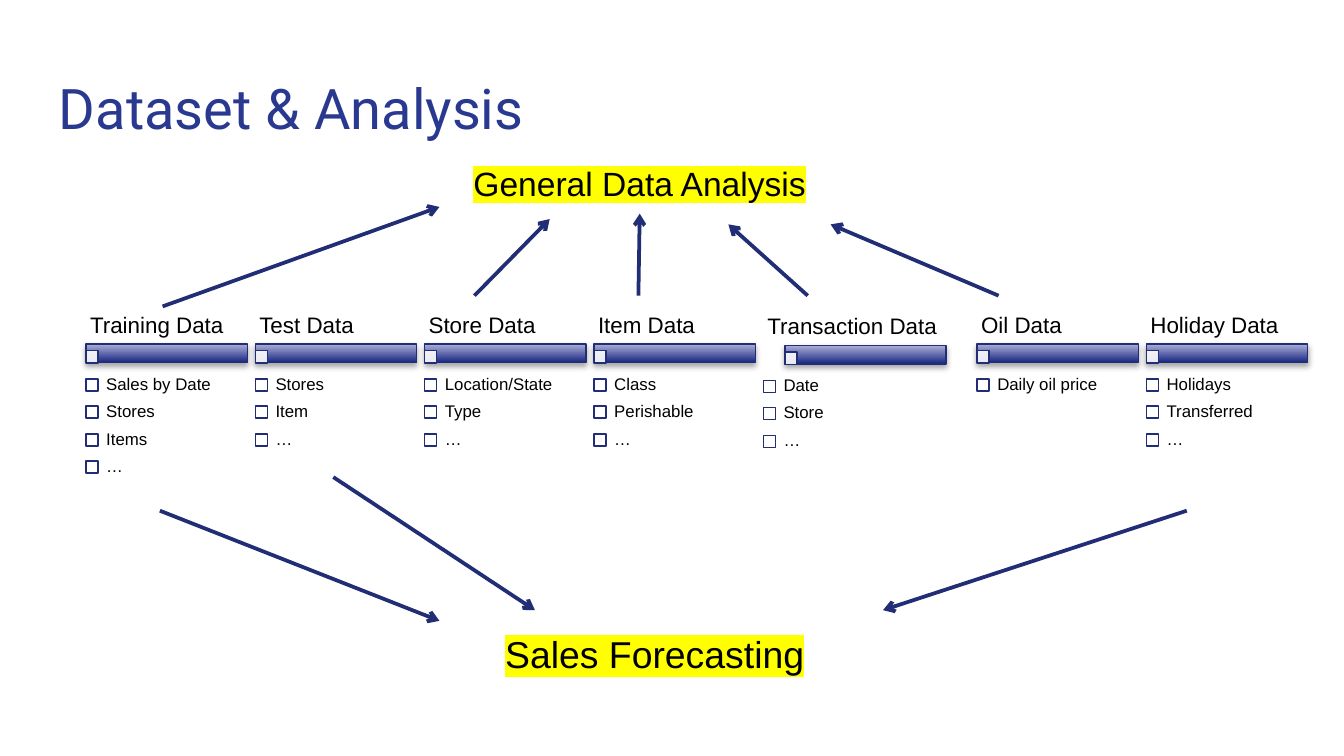
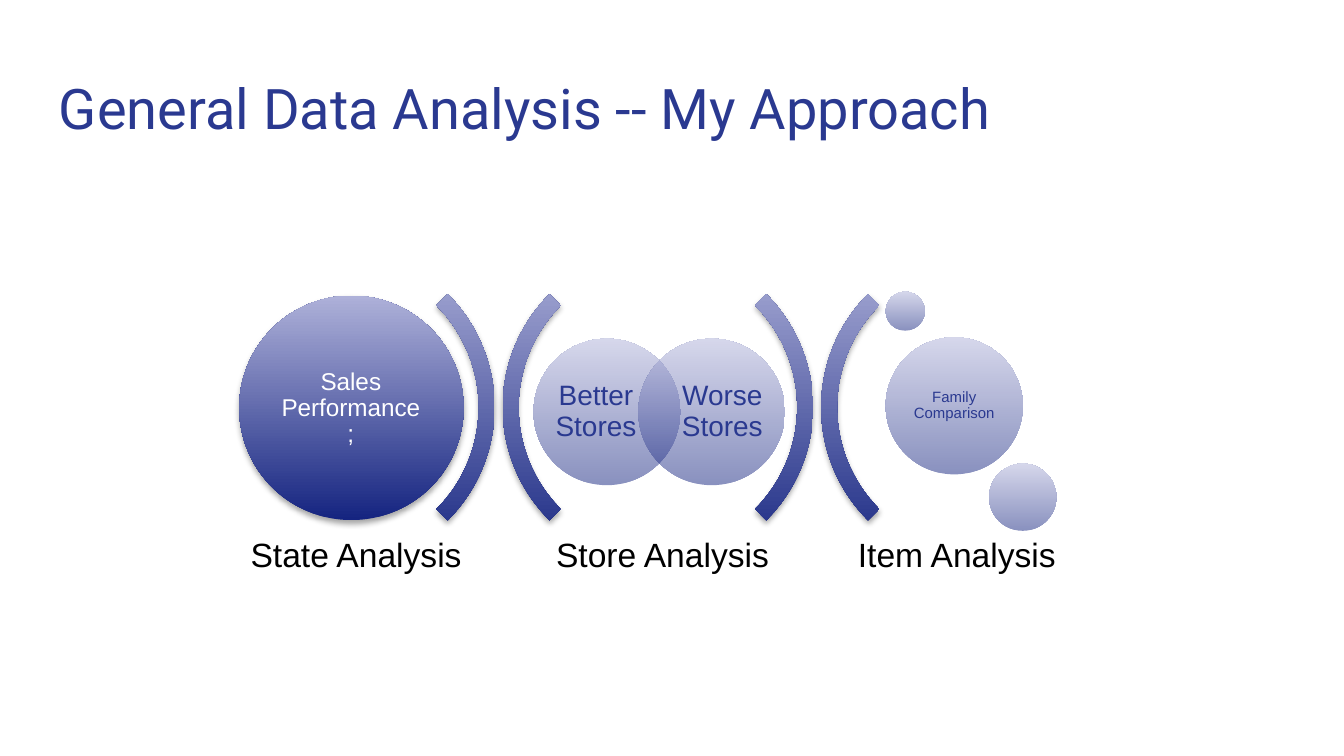
import lxml.etree
import pptx
import pptx.dml.color
import pptx.enum.shapes
import pptx.enum.text
import pptx.oxml.ns
import pptx.util

PX = 9144  # EMU in one px, 100 px to the inch
NAVY, DARK, PALE, LINE = "2A3990", "152480", "AEB1D9", "212D74"
BLACK, WHITE, YELLOW = "000000", "FFFFFF", "FFFF00"

KIND = pptx.enum.shapes.MSO_SHAPE
ALIGN = pptx.enum.text.PP_ALIGN
ANCHOR = pptx.enum.text.MSO_ANCHOR
qn = pptx.oxml.ns.qn

# name, items, extra width, drop
TABLES = [
    ("Training Data", ["Sales by Date", "Stores", "Items", "…"], 0, 0),
    ("Test Data", ["Stores", "Item", "…"], 0, 0),
    ("Store Data", ["Location/State", "Type", "…"], 0, 0),
    ("Item Data", ["Class", "Perishable", "…"], 0, 0),
    ("Transaction Data", ["Date", "Store", "…"], 33, 1),
    ("Oil Data", ["Daily oil price"], 0, 0),
    ("Holiday Data", ["Holidays", "Transferred", "…"], 0, 0),
]
ARROWS = [
    (121, 228, 327, 154), (353, 220, 409, 163), (475, 220, 476, 159),
    (601, 220, 542, 167), (743, 220, 618, 167),
    (119, 380, 327, 462), (248, 355, 398, 454), (883, 380, 657, 454),
]
ARCS = [(130, 90), (374, 270), (367, 90), (611, 270)]  # left, turn
STEPS = [("State Analysis", 175), ("Store Analysis", 403), ("Item Analysis", 622)]
DOTS = [(397, 252, 109), (475, 252, 109), (659, 251, 102), (736, 345, 50), (659, 217, 29)]
# text, box, format
NOTES = [
    ("Sales Performance;", (202, 245, 118, 118), dict(size=13, color=WHITE, pad=(5, 5))),
    ("Better Stores", (412, 265, 63, 83), dict(size=15, color=NAVY, pad=(0, 0))),
    ("Worse Stores", (506, 265, 63, 83), dict(size=15, color=NAVY, pad=(0, 0))),
    ("Family Comparison", (674, 266, 72, 72), dict(size=8, color=NAVY, pad=(3, 3))),
]


def emu(*nums):
    return [pptx.util.Emu(n * PX) for n in nums]


def rgb(code):
    return pptx.dml.color.RGBColor.from_string(code)


def sub(node, tag, **attrs):
    return lxml.etree.SubElement(node, qn(tag), attrs)


def fade(node, part):
    """Make every colour under node see-through; part is the opacity in percent."""
    for clr in node.iter(qn("a:srgbClr")):
        sub(clr, "a:alpha", val=str(part * 1000))


def text(slide, words, box, size=18, font="Arial", color=BLACK, pad=(7, 7),
         align=ALIGN.LEFT, anchor=ANCHOR.MIDDLE, lead=0.9, mark=None):
    frame = slide.shapes.add_textbox(*emu(*box)).text_frame
    frame.word_wrap = True
    frame.vertical_anchor = anchor
    frame.margin_left = frame.margin_right = emu(pad[0])[0]
    frame.margin_top = frame.margin_bottom = emu(pad[1])[0]
    para = frame.paragraphs[0]
    para.alignment, para.line_spacing = align, lead
    run = para.add_run()
    run.text = words
    run.font.size, run.font.name = pptx.util.Pt(size), font
    run.font.color.rgb = rgb(color)
    if mark:
        light = lxml.etree.Element(qn("a:highlight"))
        sub(light, "a:srgbClr", val=mark)
        run._r.rPr.find(qn("a:solidFill")).addnext(light)


def shape(slide, kind, box, fill=None, line=None, alpha=100, shadow=False):
    """Add a preset shape; without a fill colour it gets the blue gradient."""
    item = slide.shapes.add_shape(kind, *emu(*box))
    item.shadow.inherit = False
    props = item._element.spPr
    if fill:
        item.fill.solid()
        item.fill.fore_color.rgb = rgb(fill)
    else:
        item.fill.gradient()
        item.fill.gradient_angle = 90
        for stop, code in zip(item.fill.gradient_stops, (DARK, PALE)):
            stop.color.rgb = rgb(code)
        props.find(qn("a:gradFill")).set("rotWithShape", "0")
    if alpha < 100:
        fade(props, alpha)
    if line:
        item.line.color.rgb = rgb(line)
        item.line.width = pptx.util.Pt(0.75)
    else:
        item.line.fill.background()
    if shadow:
        shade = sub(props.find(qn("a:effectLst")), "a:outerShdw", blurRad="39370",
                    dist="22860", dir="5400000", rotWithShape="0")
        sub(shade, "a:srgbClr", val=BLACK)
        fade(shade, 35)
    return item


def arrow(slide, ends):
    link = slide.shapes.add_connector(pptx.enum.shapes.MSO_CONNECTOR.STRAIGHT, *emu(*ends))
    link.line.color.rgb = rgb(LINE)
    link.line.width = pptx.util.Pt(2)
    sub(link.line._get_or_add_ln(), "a:tailEnd", type="arrow")
    sub(link._element.spPr, "a:effectLst")


def page(deck, title):
    slide = deck.slides.add_slide(deck.slide_layouts[6])
    text(slide, title, (34, 45, 932, 66), size=30, font="Roboto", color=NAVY,
         pad=(10, 10), anchor=ANCHOR.TOP, lead=1.0)
    return slide


def table(slide, left, name, items, extra, drop):
    """Draw one data set: its name, a bar and a list with check boxes."""
    bar = left + extra // 2
    shape(slide, KIND.RECTANGLE, (bar, 256 + drop, 120, 14), line=LINE, shadow=True)
    shape(slide, KIND.RECTANGLE, (bar, 261 + drop, 9, 9), WHITE, LINE, alpha=90)
    text(slide, name, (left, 230, 120 + extra, 25 + 2 * drop), size=12, pad=(3, 2))
    for row, item in enumerate(items):
        top = 276 + drop + row * 41 // 2
        shape(slide, KIND.RECTANGLE, (left, top + 6, 9, 9), WHITE, LINE)
        text(slide, item, (left + 8, top, 112, 21), size=9)


def data(deck):
    slide = page(deck, "Dataset & Analysis")
    left = 64
    for name, items, extra, drop in TABLES:
        table(slide, left, name, items, extra, drop)
        left += 126 + extra
    for ends in ARROWS:
        arrow(slide, ends)
    goal = dict(pad=(10, 5), anchor=ANCHOR.TOP, lead=1.0, mark=YELLOW)
    text(slide, "General Data Analysis", (236, 116, 480, 40), align=ALIGN.CENTER, **goal)
    text(slide, "Sales Forecasting", (366, 465, 268, 44), size=20, **goal)


def plan(deck):
    slide = page(deck, "General Data Analysis -- My Approach")
    for left, turn in ARCS:
        arc = shape(slide, KIND.BLOCK_ARC, (left, 184, 238, 238), shadow=True)
        arc.rotation = turn
        for spot, value in enumerate((135, 189, 0.05)):
            arc.adjustments[spot] = value
    for left, top, side in DOTS:
        shape(slide, KIND.OVAL, (left, top, side, side), alpha=50)
    shape(slide, KIND.OVAL, (178, 220, 167, 167), shadow=True)
    for words, box, style in NOTES:
        text(slide, words, box, align=ALIGN.CENTER, **style)
    for words, left in STEPS:
        text(slide, words, (left, 390, 180, 48), align=ALIGN.CENTER)


def main():
    deck = pptx.Presentation()
    deck.slide_width = emu(1000)[0]
    deck.slide_height = pptx.util.Emu(deck.slide_width * 9 // 16)
    data(deck)
    plan(deck)
    deck.save("out.pptx")


if __name__ == "__main__":
    main()
